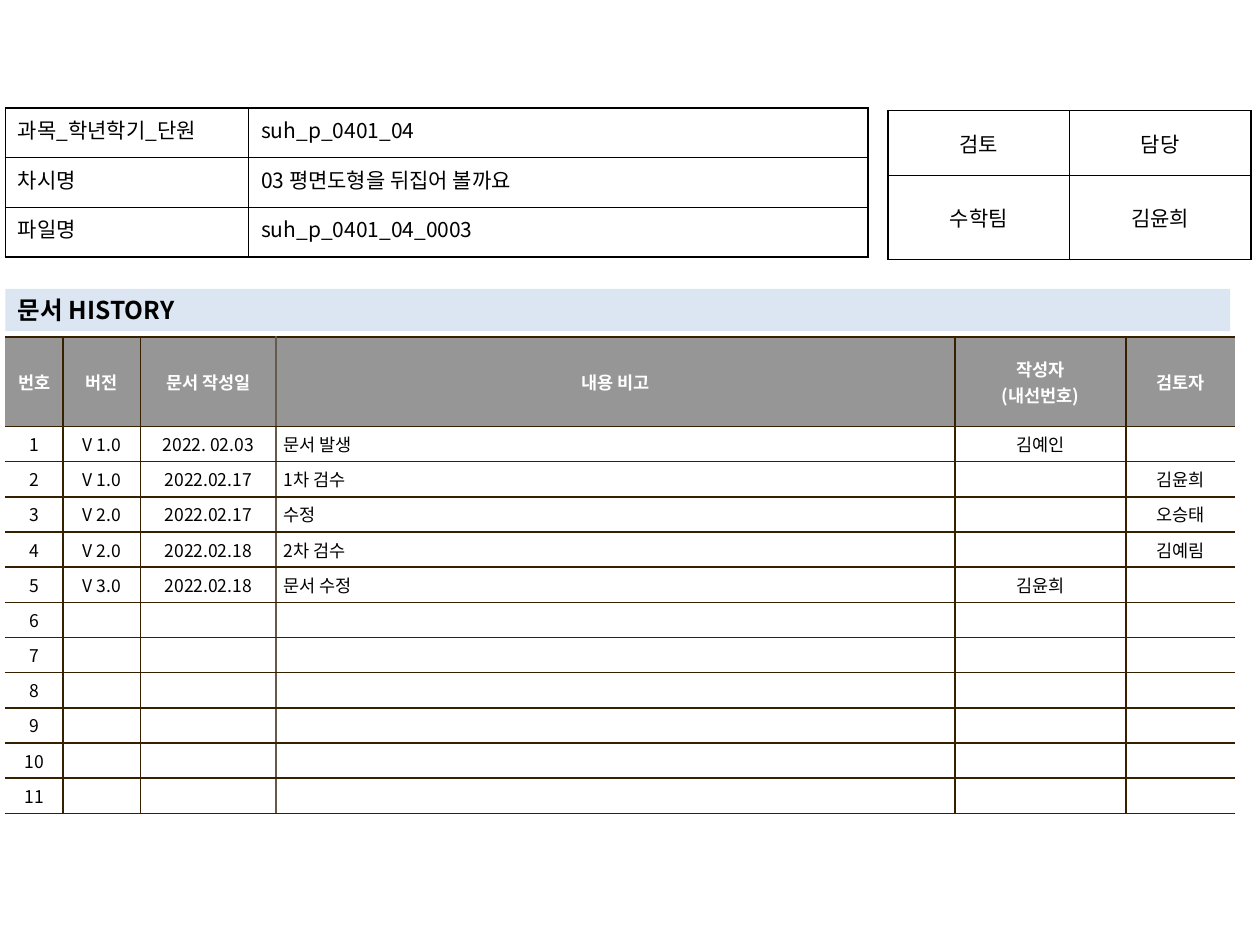
import pptx
import pptx.dml.color
import pptx.enum.text
import pptx.oxml.ns
import pptx.util
from lxml import etree

Pt = pptx.util.Pt
qn = pptx.oxml.ns.qn
RGBColor = pptx.dml.color.RGBColor
PP_ALIGN = pptx.enum.text.PP_ALIGN
MSO_ANCHOR = pptx.enum.text.MSO_ANCHOR

FONT = "Noto Sans CJK KR"
BLACK = RGBColor(0x00, 0x00, 0x00)
WHITE = RGBColor(0xFF, 0xFF, 0xFF)
BAND_BLUE = RGBColor(0xDC, 0xE6, 0xF2)
HEADER_GRAY = RGBColor(0x96, 0x96, 0x96)
RULE_BROWN = RGBColor(0x36, 0x20, 0x00)
RULE_TAUPE = RGBColor(0x64, 0x5B, 0x4C)

LEFT = 3
DATE, NOTE, REVIEWER = 2, 3, 5
HANGING = {NOTE: 13.5, REVIEWER: 6.5}

DOCUMENT_INFO = [
    ["과목_학년학기_단원", "suh_p_0401_04"],
    ["차시명", "03 평면도형을 뒤집어 볼까요"],
    ["파일명", "suh_p_0401_04_0003"],
]
APPROVAL = [["검토", "담당"], ["수학팀", "김윤희"]]
HISTORY_HEADER = ["번호", "버전", "문서 작성일", "내용 비고", "작성자\n(내선번호)", "검토자"]
HISTORY_ENTRIES = [
    ["V 1.0", "2022. 02.03", "문서 발생", "김예인", ""],
    ["V 1.0", "2022.02.17", "1차 검수", "", "김윤희"],
    ["V 2.0", "2022.02.17", "수정", "", "오승태"],
    ["V 2.0", "2022.02.18", "2차 검수", "", "김예림"],
    ["V 3.0", "2022.02.18", "문서 수정", "김윤희", ""],
]
HISTORY_LENGTH = 11


def format_text(text_frame, size, color=BLACK, bold=False, align=PP_ALIGN.LEFT):
    for paragraph in text_frame.paragraphs:
        paragraph.alignment = align
        for run in paragraph.runs:
            run.font.size = Pt(size)
            run.font.bold = bold
            run.font.color.rgb = color
            run.font.name = FONT
            east_asian = etree.SubElement(run.font._element, qn("a:ea"))
            east_asian.set("typeface", FONT)
        if not paragraph.runs:
            etree.SubElement(paragraph._p, qn("a:endParaRPr"), sz=str(size * 100))


def set_borders(cell, colors):
    properties = cell._tc.get_or_add_tcPr()
    for side in "LRTB":
        color = colors[side]
        line = etree.SubElement(properties, qn(f"a:ln{side}"), w=str(Pt(1)))
        if color is None:
            etree.SubElement(line, qn("a:noFill"))
        else:
            fill = etree.SubElement(line, qn("a:solidFill"))
            etree.SubElement(fill, qn("a:srgbClr"), val=str(color))


def set_margins(cell, horizontal, vertical):
    cell.margin_left = cell.margin_right = Pt(horizontal)
    cell.margin_top = cell.margin_bottom = Pt(vertical)


def add_grid(slide, left, top, widths, heights, texts):
    frame = slide.shapes.add_table(
        len(heights), len(widths), Pt(left), Pt(top), Pt(sum(widths)), Pt(sum(heights)))
    table = frame.table
    table.first_row = table.horz_banding = False
    for column, width in zip(table.columns, widths):
        column.width = Pt(width)
    for row, height in zip(table.rows, heights):
        row.height = Pt(height)
    for r, row_texts in enumerate(texts):
        for c, text in enumerate(row_texts):
            table.cell(r, c).text_frame.text = text
    return table


def add_form(slide, left, top, widths, heights, texts, aligns, anchor):
    table = add_grid(slide, left, top, widths, heights, texts)
    for row in table.rows:
        for cell, align in zip(row.cells, aligns):
            set_margins(cell, 7.2, 3.6)
            set_borders(cell, dict.fromkeys("LRTB", BLACK))
            cell.fill.background()
            cell.vertical_anchor = anchor
            format_text(cell.text_frame, 12, align=align)


def add_heading(slide, text):
    heading = slide.shapes.title
    heading.left, heading.top = Pt(LEFT), Pt(165)
    heading.width, heading.height = Pt(700), Pt(24.3)
    heading.fill.solid()
    heading.fill.fore_color.rgb = BAND_BLUE
    heading.text_frame.text = text
    heading.text_frame.word_wrap = True
    heading.text_frame.auto_size = pptx.enum.text.MSO_AUTO_SIZE.NONE
    heading.text_frame.vertical_anchor = MSO_ANCHOR.MIDDLE
    format_text(heading.text_frame, 14, bold=True)


def history_rows():
    blank = [""] * (len(HISTORY_HEADER) - 1)
    entries = HISTORY_ENTRIES + [blank] * (HISTORY_LENGTH - len(HISTORY_ENTRIES))
    numbered = [[str(number), *entry] for number, entry in enumerate(entries, 1)]
    return [HISTORY_HEADER] + numbered


def history_borders(column):
    borders = dict.fromkeys("LRTB", RULE_BROWN)
    if column == 0:
        borders["L"] = None
    if column == REVIEWER:
        borders["R"] = None
    if column == DATE:
        borders["R"] = RULE_TAUPE
    if column == NOTE:
        borders["L"] = RULE_TAUPE
    return borders


def add_history(slide):
    widths = [33.1, 44.1, 77.6, 388, 97.7, 62.5]
    heights = [51] + [20.1] * HISTORY_LENGTH
    table = add_grid(slide, LEFT, 192.7, widths, heights, history_rows())
    for r, row in enumerate(table.rows):
        is_header = r == 0
        for c, cell in enumerate(row.cells):
            set_margins(cell, 4.3, 2.8)
            set_borders(cell, history_borders(c))
            cell.fill.solid()
            cell.fill.fore_color.rgb = HEADER_GRAY if is_header else WHITE
            cell.vertical_anchor = MSO_ANCHOR.MIDDLE
            is_note = c == NOTE and not is_header
            format_text(cell.text_frame, 10, WHITE if is_header else BLACK, is_header,
                        PP_ALIGN.LEFT if is_note else PP_ALIGN.CENTER)
            if c in HANGING and cell.text and not is_header:
                properties = cell.text_frame.paragraphs[0]._p.get_or_add_pPr()
                properties.set("marL", str(Pt(HANGING[c])))
                properties.set("indent", str(-Pt(HANGING[c])))


def main():
    presentation = pptx.Presentation()
    presentation.slide_width, presentation.slide_height = Pt(720), Pt(540)
    slide = presentation.slides.add_slide(presentation.slide_layouts[5])
    add_heading(slide, "문서 HISTORY")
    add_form(slide, LEFT, 61.7, [139, 354], [28.4] * 3, DOCUMENT_INFO,
             [PP_ALIGN.JUSTIFY, PP_ALIGN.LEFT], MSO_ANCHOR.TOP)
    add_form(slide, 507.5, 63.2, [103.7] * 2, [37.2, 47.8], APPROVAL,
             [PP_ALIGN.CENTER] * 2, MSO_ANCHOR.MIDDLE)
    add_history(slide)
    presentation.save("out.pptx")


if __name__ == "__main__":
    main()
